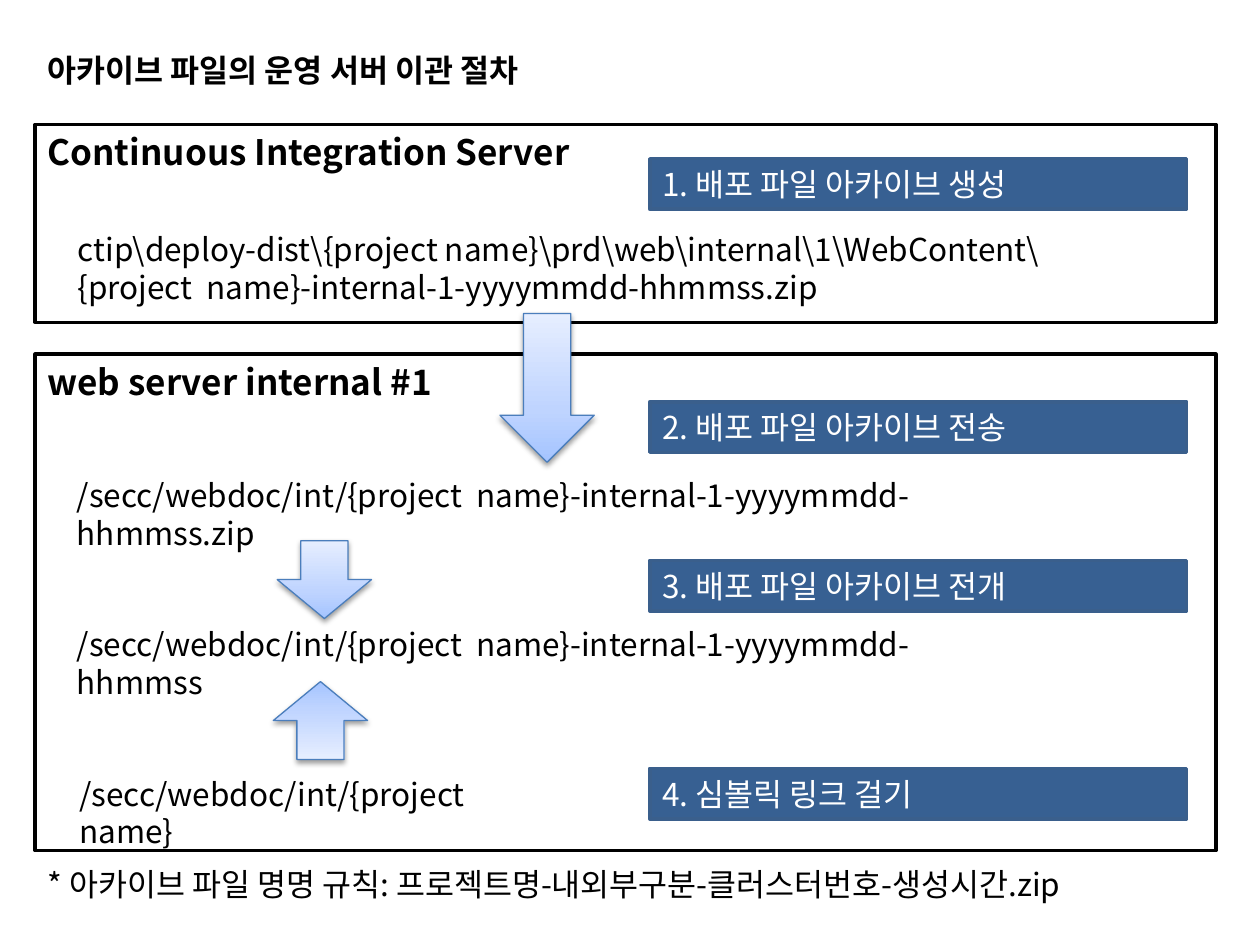
"""Builds the slide on moving archive files to the production server."""
import dataclasses

import lxml.etree
import pptx
import pptx.dml.color
import pptx.enum.shapes
import pptx.enum.text
import pptx.oxml
import pptx.oxml.ns
import pptx.util

Cm = pptx.util.Cm
Pt = pptx.util.Pt
RGB = pptx.dml.color.RGBColor.from_string
SHAPES = pptx.enum.shapes.MSO_SHAPE


@dataclasses.dataclass(frozen=True)
class Theme:
    font: str = "Noto Sans CJK KR"
    black: str = "000000"
    white: str = "FFFFFF"
    step_fill: str = "376092"
    step_line: str = "3A5F8C"
    arrow_line: str = "4B7EBC"
    arrow_stops: tuple = ((0, "A4C4FF"), (35, "BFD4FF"), (100, "E6EEFF"))
    body_size: int = 18
    heading_size: int = 20


theme = Theme()


def write(shape, text, size=theme.body_size, color=theme.black, bold=False):
    frame = shape.text_frame
    frame.text = text
    frame.word_wrap = True
    frame.auto_size = pptx.enum.text.MSO_AUTO_SIZE.NONE
    frame.vertical_anchor = pptx.enum.text.MSO_ANCHOR.TOP
    for paragraph in frame.paragraphs:
        paragraph.alignment = pptx.enum.text.PP_ALIGN.LEFT
        for run in paragraph.runs:
            run.font.size = Pt(size)
            run.font.bold = bold
            run.font.color.rgb = RGB(color)
            run.font.name = theme.font
            latin = run.font._element.find(pptx.oxml.ns.qn("a:latin"))
            east_asian = lxml.etree.Element(pptx.oxml.ns.qn("a:ea"), typeface=theme.font)
            latin.addnext(east_asian)


def add_box(left, top, width, height, fill, line):
    shape = slide.shapes.add_shape(SHAPES.RECTANGLE, Cm(left), Cm(top), Cm(width), Cm(height))
    shape.shadow.inherit = False
    shape.fill.solid()
    shape.fill.fore_color.rgb = RGB(fill)
    shape.line.color.rgb = RGB(line)
    shape.line.width = Pt(2)
    return shape


presentation = pptx.Presentation()
presentation.slide_width = Cm(25.4)
presentation.slide_height = Cm(19.05)
slide = presentation.slides.add_slide(presentation.slide_layouts[5])

title = slide.shapes.title
title.left, title.top, title.width, title.height = Cm(0.71), Cm(0.91), Cm(11.71), Cm(1.02)
write(title, "아카이브 파일의 운영 서버 이관 절차", bold=True)

panels = [
    ("Continuous Integration Server", 2.51, 3.99),
    ("web server internal #1", 7.14, 10.01),
]
for heading, top, height in panels:
    panel = add_box(0.71, top, 23.8, height, theme.white, theme.black)
    write(panel, heading, theme.heading_size, bold=True)

archive = "{project  name}-internal-1-yyyymmdd-hhmmss"
texts = [
    ("ctip\\deploy-dist\\{project name}\\prd\\web\\internal\\1\\WebContent\\\n" + archive + ".zip",
     1.32, 4.52, 21.34, 1.8),
    ("/secc/webdoc/int/" + archive + ".zip", 1.3, 9.47, 20.37, 1.02),
    ("/secc/webdoc/int/" + archive, 1.3, 12.47, 19.41, 1.02),
    ("/secc/webdoc/int/{project  name}", 1.35, 15.49, 10.24, 1.02),
    ("* 아카이브 파일 명명 규칙: 프로젝트명-내외부구분-클러스터번호-생성시간.zip",
     0.71, 17.32, 23.06, 1.02),
]
for text, left, top, width, height in texts:
    text_box = slide.shapes.add_textbox(Cm(left), Cm(top), Cm(width), Cm(height))
    write(text_box, text)

stops = "".join(
    f'<a:gs pos="{position * 1000}"><a:srgbClr val="{color}"/></a:gs>'
    for position, color in theme.arrow_stops
)
namespace = pptx.oxml.ns.nsdecls("a")
gradient = (
    f'<a:gradFill {namespace} rotWithShape="1"><a:gsLst>{stops}</a:gsLst>'
    '<a:lin ang="16200000" scaled="0"/></a:gradFill>'
)
shadow = (
    f'<a:effectLst {namespace}><a:outerShdw blurRad="40000" dist="20000" dir="5400000" '
    f'rotWithShape="0"><a:srgbClr val="{theme.black}"><a:alpha val="38000"/></a:srgbClr>'
    '</a:outerShdw></a:effectLst>'
)
arrows = [(10.08, 6.32, 3, 0), (5.59, 10.9, 1.57, 0), (5.51, 13.74, 1.57, 180)]
for left, top, height, rotation in arrows:
    arrow = slide.shapes.add_shape(SHAPES.DOWN_ARROW, Cm(left), Cm(top), Cm(1.9), Cm(height))
    arrow.rotation = rotation
    arrow.line.color.rgb = RGB(theme.arrow_line)
    arrow.line.width = Pt(0.75)
    properties = arrow._element.spPr
    properties.find(pptx.oxml.ns.qn("a:prstGeom")).addnext(pptx.oxml.parse_xml(gradient))
    properties.append(pptx.oxml.parse_xml(shadow))

steps = [
    ("배포 파일 아카이브 생성", 3.2),
    ("배포 파일 아카이브 전송", 8.1),
    ("배포 파일 아카이브 전개", 11.3),
    ("심볼릭 링크 걸기", 15.49),
]
for number, (label, top) in enumerate(steps, 1):
    step = add_box(13.1, top, 10.82, 1.02, theme.step_fill, theme.step_line)
    write(step, f"{number}. {label}", color=theme.white)

presentation.save("out.pptx")
